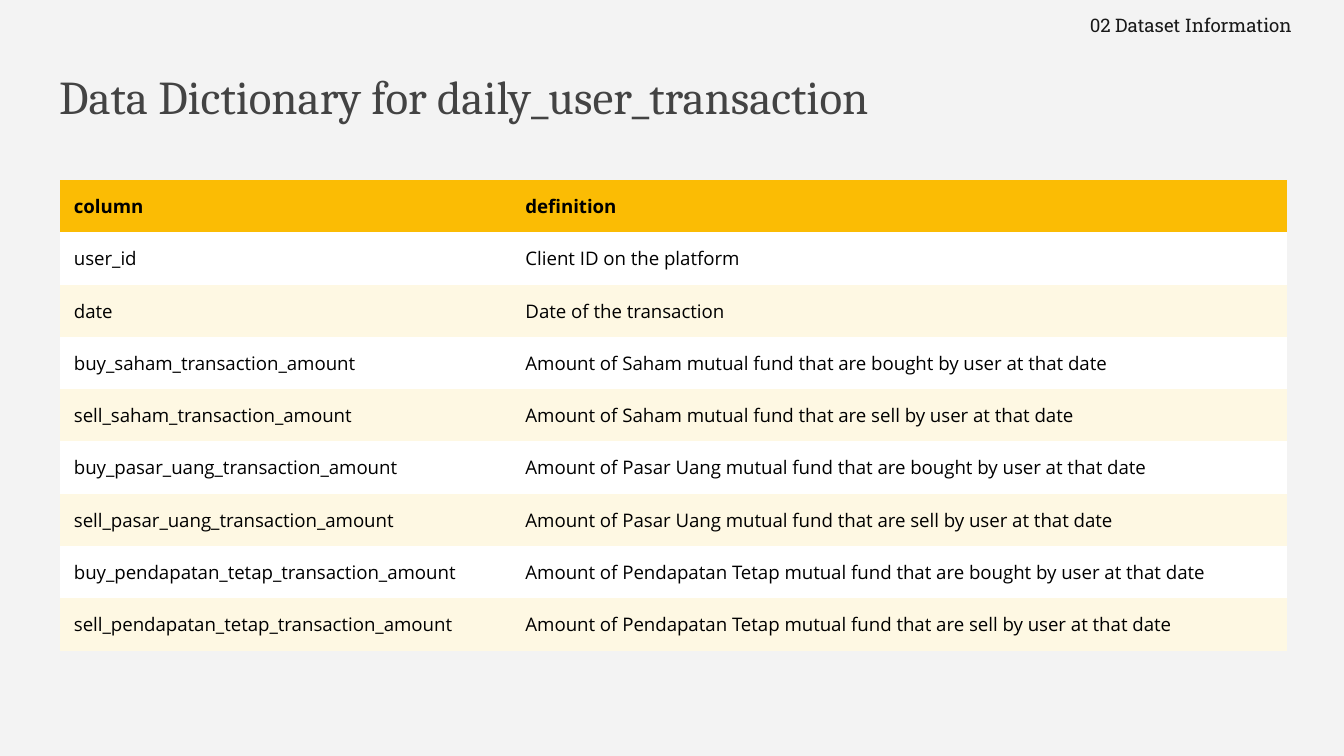
from dataclasses import dataclass

from pptx import Presentation
from pptx.dml.color import RGBColor as RGB
from pptx.enum.text import MSO_ANCHOR as ANCHOR, PP_ALIGN as ALIGN
from pptx.util import Inches, Pt

NO_STYLE_NO_GRID = "{2D5ABB26-0587-4C30-8999-92F81FD0307C}"


@dataclass(frozen=True)
class Theme:
    background: str = "F3F3F3"
    title_color: str = "434343"
    label_color: str = "191919"
    table_color: str = "000000"
    header_fill: str = "FBBC04"
    band_fills: tuple = ("FFFFFF", "FEF8E3")
    title_font: str = "Cambria"
    label_font: str = "Roboto Slab"
    table_font: str = "Open Sans"
    title_size: float = 25.2
    body_size: float = 10


def write_text(tf, text, *, font, size, color, bold=False):
    p = tf.paragraphs[0]
    p.alignment = ALIGN.LEFT
    r = p.add_run()
    r.text = text
    r.font.name = font
    r.font.size = Pt(size)
    r.font.bold = bold
    r.font.color.rgb = RGB.from_string(color)


def set_margins(box, margin=0.1):
    """Apply one inset to all four sides of a text frame or table cell."""
    box.margin_left = box.margin_right = Inches(margin)
    box.margin_top = box.margin_bottom = Inches(margin)


class SlideBuilder:
    def __init__(self, prs, theme):
        self.theme = theme
        self.slide = prs.slides.add_slide(prs.slide_layouts[5])
        fill = self.slide.background.fill
        fill.solid()
        fill.fore_color.rgb = RGB.from_string(theme.background)

    def _frame(self, sp):
        tf = sp.text_frame
        tf.word_wrap = True
        tf.vertical_anchor = ANCHOR.TOP
        set_margins(tf)
        return tf

    def title(self, text, left, top, width, height):
        sp = self.slide.shapes.title
        sp.left, sp.top = Inches(left), Inches(top)
        sp.width, sp.height = Inches(width), Inches(height)
        t = self.theme
        write_text(self._frame(sp), text, font=t.title_font,
                   size=t.title_size, color=t.title_color)

    def label(self, text, left, top, width, height):
        sp = self.slide.shapes.add_textbox(
            Inches(left), Inches(top), Inches(width), Inches(height))
        t = self.theme
        write_text(self._frame(sp), text, font=t.label_font,
                   size=t.body_size, color=t.label_color)

    def table(self, rows, left, top, col_widths, row_height):
        """Draw rows as a table with a bold header and alternating bands."""
        t = self.theme
        frame = self.slide.shapes.add_table(
            len(rows), len(col_widths), Inches(left), Inches(top),
            Inches(sum(col_widths)), Inches(row_height * len(rows)))
        frame.element.xpath(".//a:tableStyleId")[0].text = NO_STYLE_NO_GRID
        table = frame.table
        table.horz_banding = False
        for col, width in zip(table.columns, col_widths):
            col.width = Inches(width)
        for i, (row, texts) in enumerate(zip(table.rows, rows)):
            row.height = Inches(row_height)
            is_header = i == 0
            fill = t.header_fill if is_header else t.band_fills[(i - 1) % 2]
            for cell, text in zip(row.cells, texts):
                set_margins(cell)
                cell.fill.solid()
                cell.fill.fore_color.rgb = RGB.from_string(fill)
                write_text(cell.text_frame, text, font=t.table_font,
                           size=t.body_size, color=t.table_color,
                           bold=is_header)


def dictionary_rows():
    rows = [
        ("column", "definition"),
        ("user_id", "Client ID on the platform"),
        ("date", "Date of the transaction"),
    ]
    for fund in ("Saham", "Pasar Uang", "Pendapatan Tetap"):
        key = fund.lower().replace(" ", "_")
        for action, verb in (("buy", "bought"), ("sell", "sell")):
            rows.append((
                f"{action}_{key}_transaction_amount",
                f"Amount of {fund} mutual fund that are {verb} by user at that date",
            ))
    return rows


def main():
    prs = Presentation()
    prs.slide_width, prs.slide_height = Inches(10), Inches(10 * 9 / 16)
    s = SlideBuilder(prs, Theme())
    s.title("Data Dictionary for daily_user_transaction", 0.34, 0.4, 9.32, 0.63)
    s.table(dictionary_rows(), 0.45, 1.34, (3.36, 5.77), 0.38)
    s.label("02 Dataset Information", 8.01, 0.02, 1.98, 0.34)
    prs.save("out.pptx")


if __name__ == "__main__":
    main()
